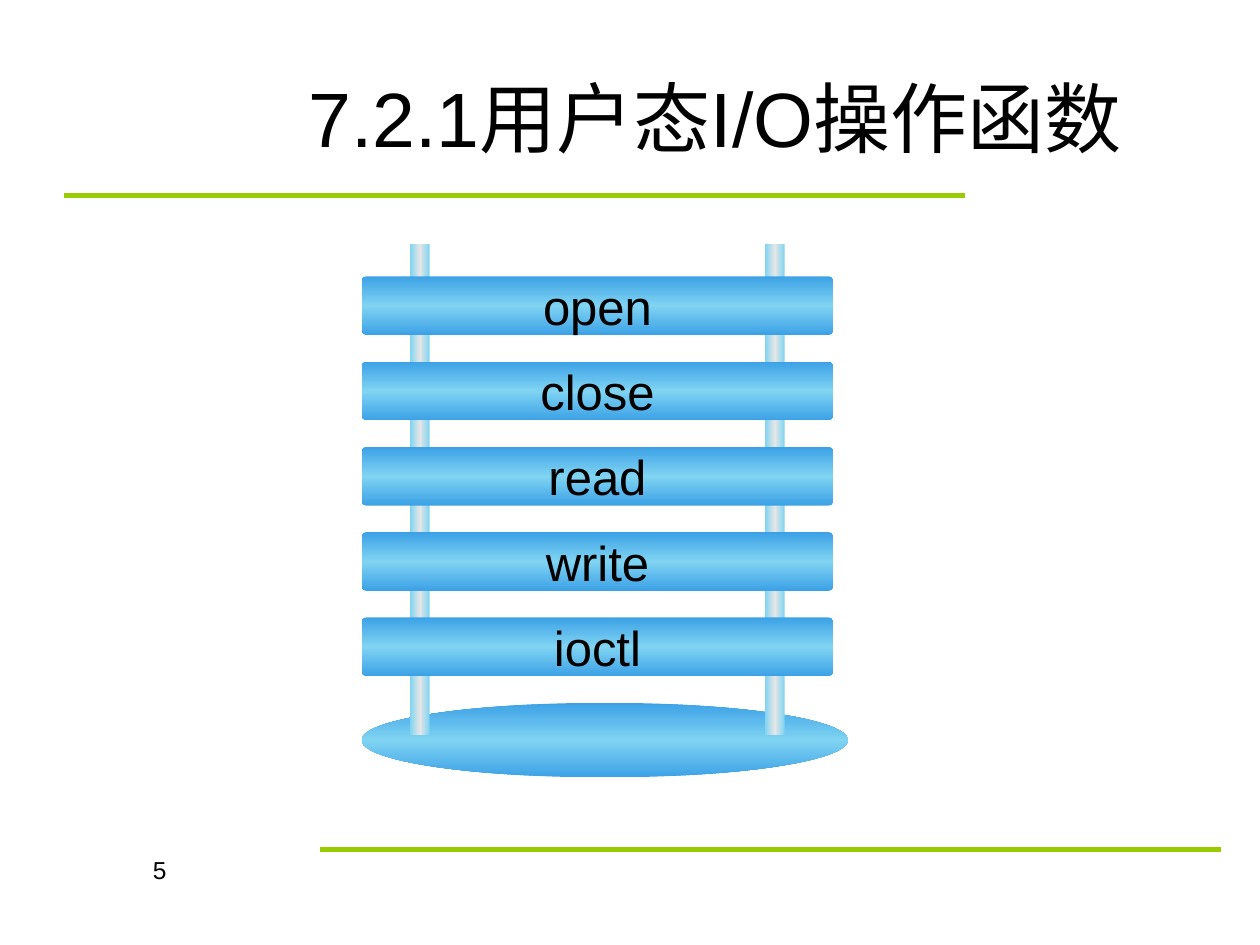
from copy import deepcopy
from dataclasses import dataclass

from pptx import Presentation
from pptx.dml.color import RGBColor
from pptx.enum.shapes import MSO_CONNECTOR, MSO_SHAPE
from pptx.enum.text import MSO_ANCHOR, MSO_AUTO_SIZE, PP_ALIGN
from pptx.oxml.ns import qn
from pptx.util import Inches, Pt


@dataclass(frozen=True)
class Theme:
    font: str = "Arial"
    ink: str = "000000"
    rule: str = "99CC00"
    rule_width: float = 3
    edge: str = "3CA1E6"
    glow: str = "80D4F2"
    metal: str = "E6E6E6"
    title_size: int = 44
    label_size: int = 28
    number_size: int = 14


@dataclass(frozen=True)
class Box:
    """A region in inches."""
    left: float
    top: float
    width: float
    height: float

    def emu(self):
        return [Inches(v) for v in (self.left, self.top, self.width, self.height)]

    def share(self, x, y, width, height):
        """A box given as shares of this one."""
        return Box(self.left + x * self.width, self.top + y * self.height,
                   width * self.width, height * self.height)


THEME = Theme()
PAGE = Box(0, 0, 10, 7.5)
FUNCTIONS = ["open", "close", "read", "write", "ioctl"]


def write_text(frame, text, size, align, anchor=MSO_ANCHOR.MIDDLE, wrap=True):
    frame.text = text
    frame.word_wrap = wrap
    frame.auto_size = MSO_AUTO_SIZE.NONE
    frame.vertical_anchor = anchor
    paragraph = frame.paragraphs[0]
    paragraph.alignment = align
    font = paragraph.runs[0].font
    font.name = THEME.font
    font.size = Pt(size)
    font.color.rgb = RGBColor.from_string(THEME.ink)


def add_sheen(shapes, preset, box, outer, middle, angle):
    """Add a borderless shape shaded from outer to middle and back."""
    shape = shapes.add_shape(preset, *box.emu())
    shape.shadow.inherit = False
    shape.line.fill.background()
    shape.fill.gradient()
    shape.fill.gradient_angle = angle
    stop_list = shape._element.spPr.find(".//" + qn("a:gsLst"))
    stop_list.append(deepcopy(stop_list[-1]))
    for stop, color, position in zip(shape.fill.gradient_stops,
                                     (outer, middle, outer), (0, 0.5, 1)):
        stop.color.rgb = RGBColor.from_string(color)
        stop.position = position
    return shape


def add_rule(slide, box):
    left, top, width, _ = box.emu()
    rule = slide.shapes.add_connector(MSO_CONNECTOR.STRAIGHT,
                                      left, top, left + width, top)
    rule.line.color.rgb = RGBColor.from_string(THEME.rule)
    rule.line.width = Pt(THEME.rule_width)
    properties = rule._element.spPr
    properties.append(properties.makeelement(qn("a:effectLst"), {}))


def add_title(slide, box, text):
    title = slide.shapes.title
    title.left, title.top, title.width, title.height = box.emu()
    write_text(title.text_frame, text, THEME.title_size, PP_ALIGN.CENTER)


def add_ladder(slide, box, labels):
    """Stand two rails on an oval base and hang one bar per label on them."""
    add_sheen(slide.shapes, MSO_SHAPE.OVAL, box.share(0, 0.86, 1, 0.14),
              THEME.edge, THEME.glow, 90)
    ladder = slide.shapes.add_group_shape().shapes
    for x in (0.83, 0.1):
        add_sheen(ladder, MSO_SHAPE.RECTANGLE, box.share(x, 0, 0.04, 0.92),
                  THEME.glow, THEME.metal, 0)
    first, pitch = 0.06, 0.16
    for row, label in enumerate(labels):
        bar = add_sheen(ladder, MSO_SHAPE.ROUNDED_RECTANGLE,
                        box.share(0, first + row * pitch, 0.97, 0.11),
                        THEME.edge, THEME.glow, 90)
        bar.adjustments[0] = 0.08
        write_text(bar.text_frame, label, THEME.label_size,
                   PP_ALIGN.CENTER, wrap=False)


def add_page_number(slide, box, number):
    frame = slide.shapes.add_textbox(*box.emu()).text_frame
    write_text(frame, str(number), THEME.number_size, PP_ALIGN.RIGHT, MSO_ANCHOR.TOP)


def main():
    deck = Presentation()
    deck.slide_width, deck.slide_height = Inches(PAGE.width), Inches(PAGE.height)
    title_only = deck.slide_layouts[5]
    slide = deck.slides.add_slide(title_only)
    for left, top in ((0.51, 1.55), (2.54, 6.74)):
        add_rule(slide, Box(left, top, 7.15, 0))
    add_title(slide, Box(1.85, 0.3, 7.65, 1.25), "7.2.1用户态I/O操作函数")
    add_ladder(slide, Box(2.87, 1.94, 3.86, 4.23), FUNCTIONS)
    add_page_number(slide, Box(0, 6.74, 1.42, 0.52), 5)
    deck.save("out.pptx")


if __name__ == "__main__":
    main()
